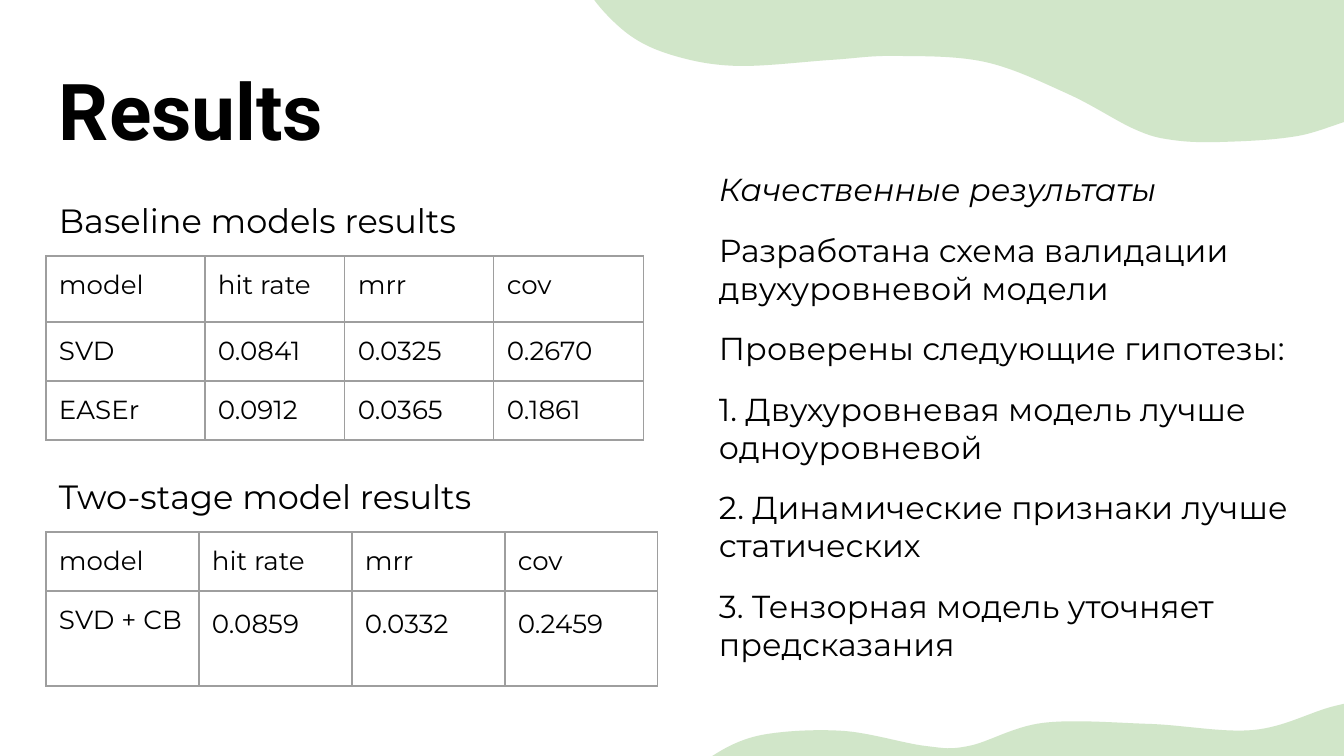
from lxml import etree
from pptx import Presentation
from pptx.dml.color import RGBColor
from pptx.enum.text import MSO_ANCHOR, MSO_AUTO_SIZE, PP_ALIGN
from pptx.oxml.ns import qn
from pptx.util import Pt

BOTTOM, TOP = MSO_ANCHOR.BOTTOM, MSO_ANCHOR.TOP
LEFT = PP_ALIGN.LEFT
NO_FIT = MSO_AUTO_SIZE.NONE
EMU_PER_PX = 914400 / 134.4
INSET = 13
COLORS = {"text": "000000", "border": "9E9E9E", "wave": "B6D7A8"}
WAVE_ALPHA = 62
HEADER = ["model", "hit rate", "mrr", "cov"]
BASELINE = [
    HEADER,
    ["SVD", "0.0841", "0.0325", "0.2670"],
    ["EASEr", "0.0912", "0.0365", "0.1861"],
]
TWO_STAGE = [HEADER, ["SVD + CB", "0.0859", "0.0332", "0.2459"]]
FINDINGS = [
    "Качественные результаты",
    "Разработана схема валидации двухуровневой модели",
    "Проверены следующие гипотезы:",
    "1. Двухуровневая модель лучше одноуровневой",
    "2. Динамические признаки лучше статических",
    "3. Тензорная модель уточняет предсказания",
]
TOP_WAVE = [
    (590, -7), (628, 34), (675, 56), (738, 66), (831, 60), (895, 56), (985, 62),
    (1068, 94), (1134, 129), (1172, 140), (1223, 142), (1298, 136), (1371, 116),
    (1441, 122), (1476, 48), (1461, -17), (1254, -17), (720, -23), (599, -28),
]
BOTTOM_WAVE = [
    (1442, 706), (1400, 695), (1335, 706), (1254, 730), (1149, 724), (1043, 723),
    (969, 746), (925, 746), (843, 731), (762, 735), (714, 755), (706, 771),
    (813, 769), (1411, 765),
]


def px(length):
    """Turn pixels into EMU."""
    return round(length * EMU_PER_PX)


def rgb(name):
    """Look up a named colour."""
    return RGBColor.from_string(COLORS[name])


def set_insets(holder):
    """Give a text frame or table cell equal margins."""
    holder.margin_left = holder.margin_right = px(INSET)
    holder.margin_top = holder.margin_bottom = px(INSET)


def style_paragraph(paragraph, size, family="Montserrat", bold=False, italic=False):
    """Align a paragraph and set its font."""
    paragraph.alignment = LEFT
    font = paragraph.font
    font.size, font.name = Pt(size), family
    font.bold, font.italic = bold, italic
    font.color.rgb = rgb("text")


def prepare_frame(frame, anchor):
    """Set wrapping, margins and anchor of a text frame."""
    frame.word_wrap = True
    frame.auto_size = NO_FIT
    frame.vertical_anchor = anchor
    set_insets(frame)


def add_title(slide, text, left, top, width, height):
    """Place and format the title placeholder."""
    title = slide.shapes.title
    title.left, title.top, title.width, title.height = map(px, (left, top, width, height))
    prepare_frame(title.text_frame, BOTTOM)
    title.text_frame.text = text
    style_paragraph(title.text_frame.paragraphs[0], 42, "Roboto", bold=True)


def add_text(slide, lines, box, size):
    """Add a top-anchored text box and return its paragraphs."""
    frame = slide.shapes.add_textbox(*map(px, box)).text_frame
    prepare_frame(frame, TOP)
    frame.text = "\n".join(lines)
    for paragraph in frame.paragraphs:
        style_paragraph(paragraph, size)
    return frame.paragraphs


def add_heading(slide, text, top, width, height):
    """Add the heading above a table."""
    heading = add_text(slide, [text], (46, top, width, height), 18)[0]
    heading.line_spacing = 1.15
    heading.space_after = Pt(12)


def add_findings(slide):
    """Add the column of findings with an italic first line."""
    first, *others = add_text(slide, FINDINGS, (706, 157, 672, 577), 17)
    first.font.italic = True
    for finding in others:
        finding.space_before = Pt(12)


def add_borders(cell):
    """Draw a thin line on all four sides of a cell."""
    properties = cell._tc.get_or_add_tcPr()
    for position, side in enumerate(("a:lnL", "a:lnR", "a:lnT", "a:lnB")):
        line = etree.Element(qn(side), w=str(Pt(0.75)))
        fill = etree.SubElement(line, qn("a:solidFill"))
        etree.SubElement(fill, qn("a:srgbClr"), val=COLORS["border"])
        properties.insert(position, line)


def add_results_table(slide, rows, top, widths, heights, value_spacing=1.0):
    """Add a bordered table of model metrics."""
    box = (46, top, sum(widths), sum(heights))
    table = slide.shapes.add_table(len(rows), len(widths), *map(px, box)).table
    table.first_row = table.horz_banding = False
    for column, width in zip(table.columns, widths):
        column.width = px(width)
    for r, (values, height) in enumerate(zip(rows, heights)):
        table.rows[r].height = px(height)
        for c, value in enumerate(values):
            cell = table.cell(r, c)
            cell.text = value
            cell.fill.background()
            set_insets(cell)
            add_borders(cell)
            paragraph = cell.text_frame.paragraphs[0]
            style_paragraph(paragraph, 14)
            if r and c:
                paragraph.line_spacing = value_spacing


def smooth_points(knots):
    """Return the Bezier points of a closed Catmull-Rom curve."""
    points = []
    count = len(knots)
    for i in range(count):
        before, start, end, after = (knots[(i + step) % count] for step in (-1, 0, 1, 2))
        points.append(tuple(s + (e - b) / 6 for b, s, e in zip(before, start, end)))
        points.append(tuple(e - (a - s) / 6 for s, e, a in zip(start, end, after)))
        points.append(end)
    return points


def add_wave(slide, knots):
    """Add a translucent shape with a smooth outline through the knots."""
    builder = slide.shapes.build_freeform(*map(px, knots[0]))
    builder.add_line_segments([tuple(map(px, point)) for point in smooth_points(knots)])
    wave = builder.convert_to_shape()
    wave.shadow.inherit = False
    wave.line.fill.background()
    wave.fill.solid()
    wave.fill.fore_color.rgb = rgb("wave")
    color = wave.element.spPr.find(".//" + qn("a:srgbClr"))
    etree.SubElement(color, qn("a:alpha"), val=str(WAVE_ALPHA * 1000))
    segments = list(wave.element.iter(qn("a:lnTo")))
    for i in range(0, len(segments), 3):
        curve = etree.Element(qn("a:cubicBezTo"))
        segments[i].addprevious(curve)
        for segment in segments[i:i + 3]:
            curve.append(segment[0])
            segment.getparent().remove(segment)


def main():
    """Build the results slide."""
    deck = Presentation()
    deck.slide_width, deck.slide_height = px(1344), px(756)
    slide = deck.slides.add_slide(deck.slide_layouts[5])
    add_title(slide, "Results", 46, 47, 1253, 122)
    add_heading(slide, "Baseline models results", 181, 534, 77)
    add_results_table(slide, BASELINE, 256, [159, 140, 149, 150], [66, 59, 59])
    add_results_table(slide, TWO_STAGE, 532, [153] * 4, [59, 95], 1.15)
    add_findings(slide)
    add_heading(slide, "Two-stage model results", 457, 543, 106)
    for knots in (TOP_WAVE, BOTTOM_WAVE):
        add_wave(slide, knots)
    deck.save("out.pptx")


if __name__ == "__main__":
    main()
